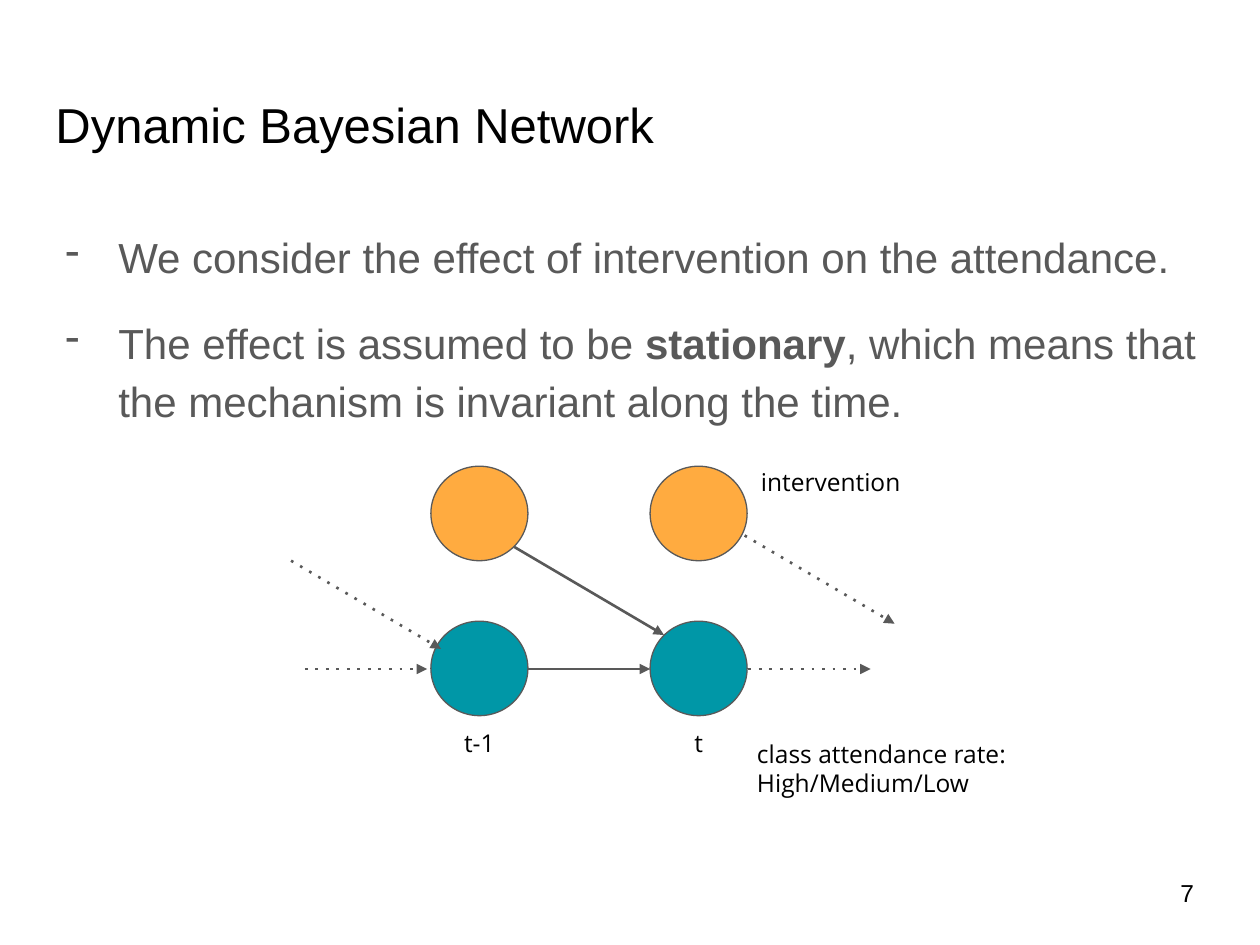
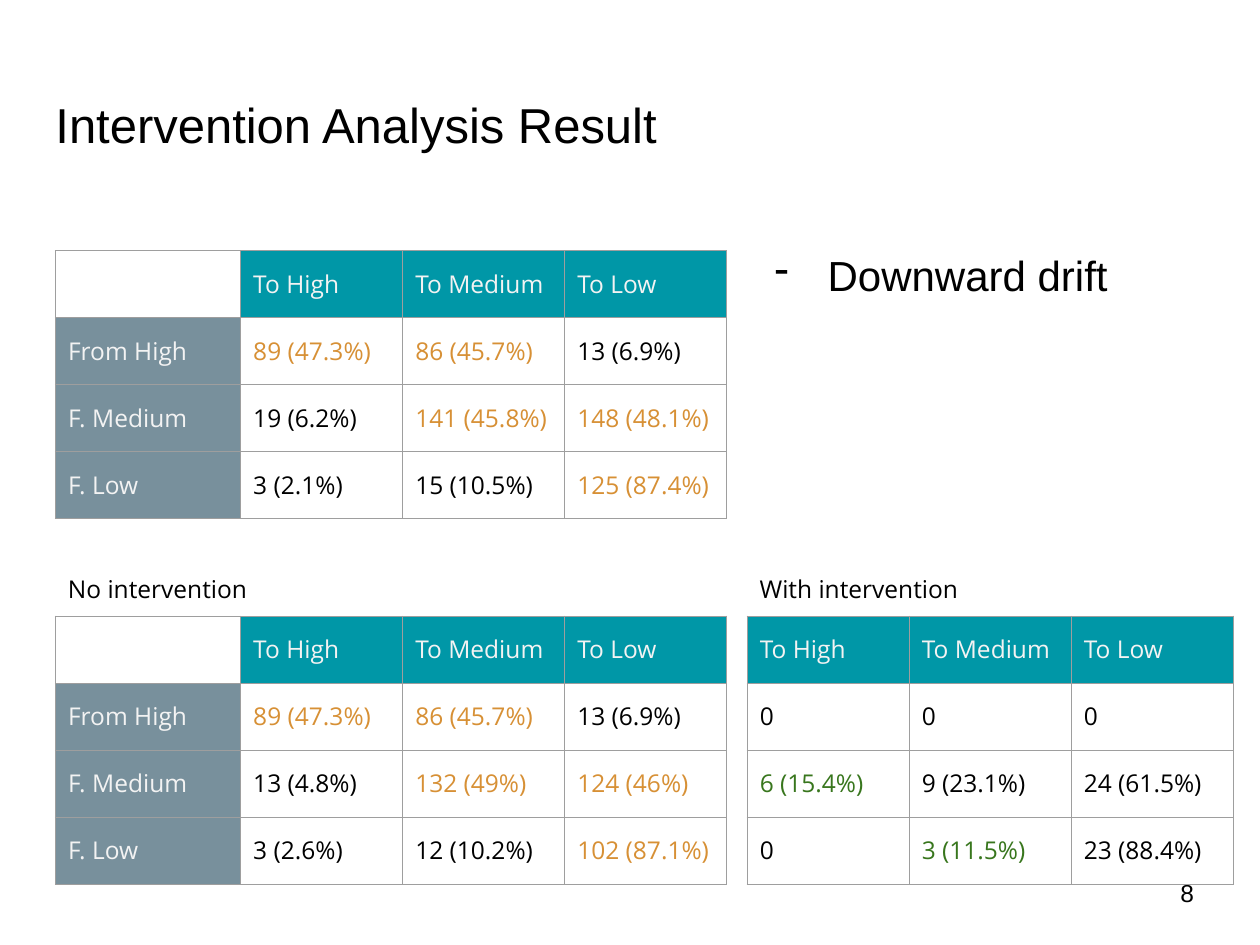
from lxml import etree
from pptx import Presentation
from pptx import util as u
from pptx.dml.color import RGBColor
from pptx.enum import shapes, text
from pptx.oxml.ns import qn

# Shared look
BLACK = RGBColor(0x00, 0x00, 0x00)
GRAY = RGBColor(0x59, 0x59, 0x59)
PALE = RGBColor(0xF3, 0xF3, 0xF3)
AMBER = RGBColor(0xFF, 0xAB, 0x40)
TEAL = RGBColor(0x00, 0x97, 0xA7)
SLATE = RGBColor(0x78, 0x90, 0x9C)
OCHRE = RGBColor(0xD7, 0x90, 0x35)
GREEN = RGBColor(0x38, 0x76, 0x1D)
RULE = RGBColor(0x9E, 0x9E, 0x9E)
SANS, OPEN = "Arial", "Open Sans"
TOP, MID, LOW = (text.MSO_ANCHOR.TOP, text.MSO_ANCHOR.MIDDLE,
                 text.MSO_ANCHOR.BOTTOM)
LEFT, MIDST = text.PP_ALIGN.LEFT, text.PP_ALIGN.CENTER

# The slide is a grid of 100 columns by 75 rows
COLS, ROWS = 100, 75
UNIT = u.Inches(0.1)


def grid(*spans):
    return [round(span * UNIT) for span in spans]


def add(node, tag, **attrs):
    return etree.SubElement(node, qn(tag), **attrs)


# Text
def dash(para, color):
    props = para._p.get_or_add_pPr()
    props.set("marL", str(u.Inches(0.5)))
    props.set("indent", str(-u.Inches(0.42)))
    add(add(props, "a:buClr"), "a:srgbClr", val=str(color))
    add(props, "a:buChar", char="-")


def write(frame, lines, size=14, font=OPEN, color=BLACK, align=LEFT,
          anchor=TOP, bullet=False, lead=None, after=None):
    """Write one paragraph per line; words between asterisks are bold."""
    frame.word_wrap = True
    frame.auto_size = text.MSO_AUTO_SIZE.NONE
    frame.vertical_anchor = anchor
    frame.margin_left = frame.margin_right = UNIT
    frame.margin_top = frame.margin_bottom = UNIT
    for i, line in enumerate(lines):
        para = frame.add_paragraph() if i else frame.paragraphs[0]
        para.alignment = align
        if lead:
            para.line_spacing = lead
        if after:
            para.space_after = u.Pt(after)
        if bullet:
            dash(para, color)
        style(para, size, font, color)
        for j, part in enumerate(line.split("*")):
            run = para.add_run()
            run.text = part
            if j % 2:
                run.font.bold = True


def style(para, size, font, color):
    para.font.size = u.Pt(size)
    para.font.name = font
    para.font.color.rgb = color


def label(slide, area, lines, **look):
    write(slide.shapes.add_textbox(*grid(*area)).text_frame, lines, **look)


def page(deck, title, num):
    slide = deck.slides.add_slide(deck.slide_layouts[5])
    head = slide.shapes.title
    head.left, head.top, head.width, head.height = grid(3.4, 6.5, 93.2, 8.3)
    write(head.text_frame, [title], size=28, font=SANS)
    label(slide, (92.7, 68, 6, 5.7), [str(num)], font=SANS, anchor=MID)
    return slide


# Network parts
def node(slide, x, y, color):
    disc = slide.shapes.add_shape(shapes.MSO_SHAPE.OVAL,
                                  *grid(x, y, 7.7, 7.5))
    disc.shadow.inherit = False
    disc.fill.solid()
    disc.fill.fore_color.rgb = color
    disc.line.color.rgb = GRAY
    disc.line.width = u.Pt(0.75)


def arrow(slide, x, y, run, drop, dotted):
    link = slide.shapes.add_connector(shapes.MSO_CONNECTOR.STRAIGHT,
                                      *grid(x, y, x + run, y + drop))
    link.line.color.rgb = GRAY
    link.line.width = u.Pt(1.5)
    line = link.line._get_or_add_ln()
    if dotted:
        add(line, "a:prstDash", val="dot")
    add(line, "a:tailEnd", type="triangle")
    add(link._element.spPr, "a:effectLst")


# Tables
def paint(cell, words, color, back):
    cell.margin_left = cell.margin_right = UNIT
    cell.margin_top = cell.margin_bottom = u.Inches(0.13)
    props = cell._tc.get_or_add_tcPr()
    for side in ("a:lnL", "a:lnR", "a:lnT", "a:lnB"):
        edge = add(props, side, w=str(u.Pt(0.75)))
        add(add(edge, "a:solidFill"), "a:srgbClr", val=str(RULE))
    if back is None:
        cell.fill.background()
    else:
        cell.fill.solid()
        cell.fill.fore_color.rgb = back
    para = cell.text_frame.paragraphs[0]
    style(para, 14, OPEN, color)
    if words:
        para.add_run().text = words


def table(slide, x, y, rows, steps, tint, names=()):
    """Tint the values whose column lies the given steps from the diagonal."""
    side = 1 if names else 0
    heads = ["To High", "To Medium", "To Low"]
    data = [heads] + rows
    if names:
        data = [[name] + row for name, row in zip(("", *names), data)]
    wide = [14.7] * side + [12.86] * len(heads)
    tall = 5.32
    shape = slide.shapes.add_table(
        len(data), len(wide), *grid(x, y, sum(wide), tall * len(data)))
    body = shape.table
    body.first_row = body.horz_banding = False
    for col, width in zip(body.columns, grid(*wide)):
        col.width = width
    for r, row in enumerate(data):
        body.rows[r].height = grid(tall)[0]
        for c, words in enumerate(row):
            color, back = BLACK, None
            if r == 0 and c >= side:
                color, back = PALE, TEAL
            elif r and c < side:
                color, back = PALE, SLATE
            elif r and (c - side) - (r - 1) in steps:
                color = tint if words != "0" else BLACK
            paint(body.cell(r, c), words, color, back)


# Slides
def network(deck):
    slide = page(deck, "Dynamic Bayesian Network", 7)
    label(slide, (3.4, 16.8, 93.2, 16.9), [
        "We consider the effect of intervention on the attendance.",
        "The effect is assumed to be *stationary*, which means that "
        "the mechanism is invariant along the time.",
    ], size=24, font=SANS, color=GRAY, bullet=True, lead=1.15, after=16)

    # Two time steps, each with an intervention and an attendance node
    left, gap = 34.2, 17.4
    for i, time in enumerate(("t-1", "t")):
        x = left + i * gap
        node(slide, x, 37, AMBER)
        node(slide, x, 49.3, TEAL)
        label(slide, (x, 56.8, 7.7, 2.2), [time], align=MIDST)

    # Links within the two steps are solid, links beyond them dotted
    for x, dotted in ((41.9, False), (24.2, True), (59.4, True)):
        arrow(slide, x, 53.1, 9.7, 0, dotted)
    for x, y, dotted in ((40.8, 43.4, False), (59.1, 42.5, True),
                         (23.1, 44.5, True)):
        arrow(slide, x, y, 11.9, 7, dotted)

    label(slide, (59.4, 35.7, 14.8, 5.1), ["intervention"], anchor=MID)
    label(slide, (59.1, 55.4, 26.4, 11.1),
          ["class attendance rate:", "High/Medium/Low"], anchor=MID)


def result(deck):
    slide = page(deck, "Intervention Analysis Result", 8)
    names = ("From High", "F. Medium", "F. Low")
    left, right, base = 4.4, 59.3, 48.9
    high = ["89 (47.3%)", "86 (45.7%)", "13 (6.9%)"]

    # Staying or falling one level is ochre, rising one level green
    table(slide, left, 19.9, [
        high,
        ["19 (6.2%)", "141 (45.8%)", "148 (48.1%)"],
        ["3 (2.1%)", "15 (10.5%)", "125 (87.4%)"],
    ], (0, 1), OCHRE, names)
    table(slide, left, base, [
        high,
        ["13 (4.8%)", "132 (49%)", "124 (46%)"],
        ["3 (2.6%)", "12 (10.2%)", "102 (87.1%)"],
    ], (0, 1), OCHRE, names)
    table(slide, right, base, [
        ["0", "0", "0"],
        ["6 (15.4%)", "9 (23.1%)", "24 (61.5%)"],
        ["0", "3 (11.5%)", "23 (88.4%)"],
    ], (-1,), GREEN)

    for x, words in ((left, "No intervention"), (right, "With intervention")):
        label(slide, (x, base - 6.7, 23.5, 6.7), [words], anchor=LOW)
    label(slide, (59.7, 18.8, 38.6, 19.9), ["Downward drift"],
          size=24, font=SANS, bullet=True)


def main():
    deck = Presentation()
    deck.slide_width, deck.slide_height = grid(COLS, ROWS)
    network(deck)
    result(deck)
    deck.save("out.pptx")


if __name__ == "__main__":
    main()
